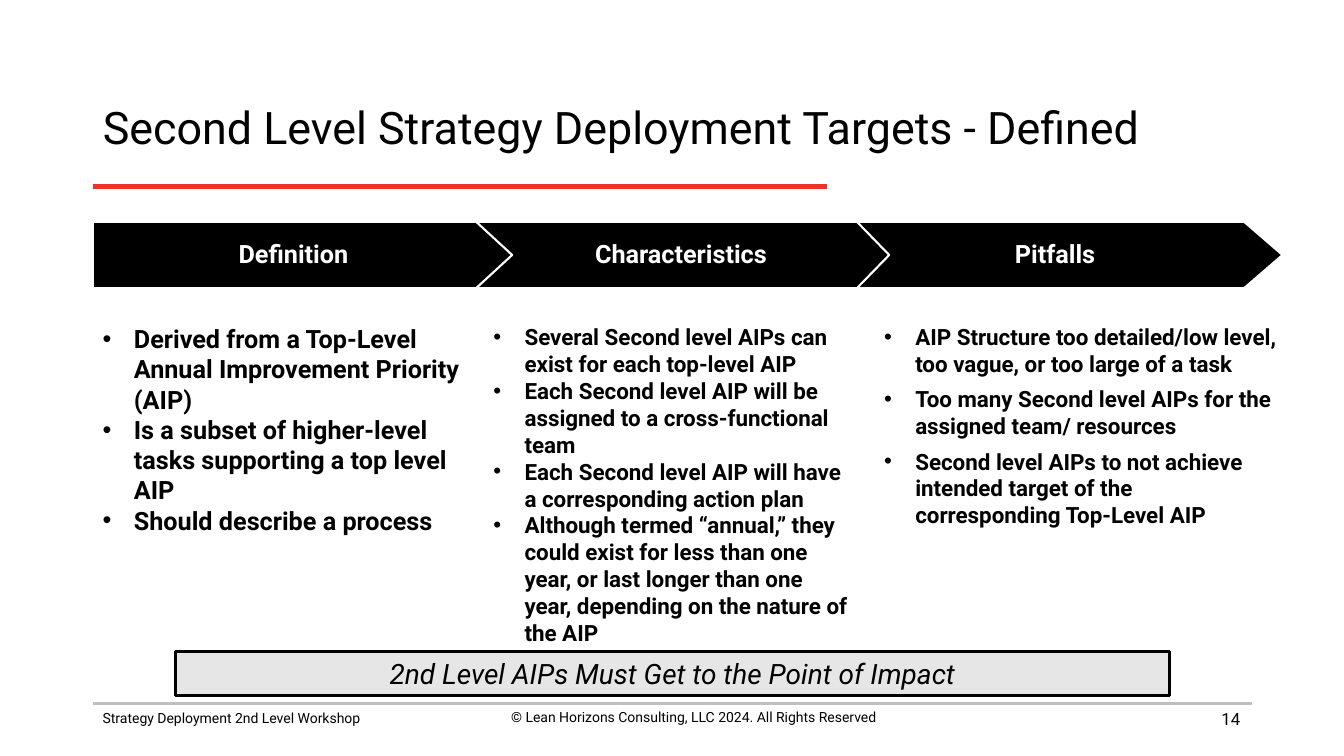
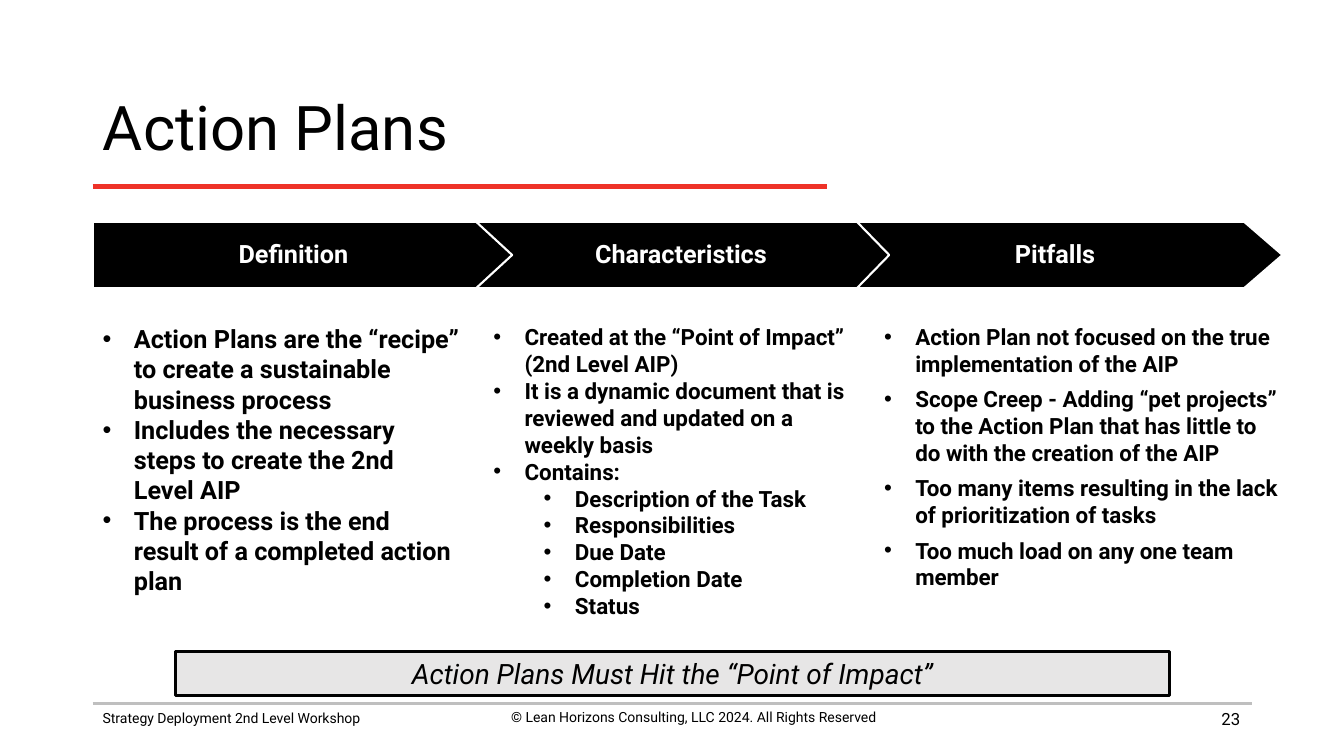
from dataclasses import dataclass

from lxml.etree import SubElement
from pptx import Presentation
from pptx.dml.color import RGBColor
from pptx.enum.shapes import MSO_CONNECTOR, MSO_SHAPE
from pptx.enum.text import MSO_ANCHOR, MSO_AUTO_SIZE, PP_ALIGN
from pptx.oxml.ns import qn
from pptx.util import Inches, Pt


@dataclass(frozen=True)
class Theme:
    font: str = "Roboto"
    ink: RGBColor = RGBColor(0x00, 0x00, 0x00)
    paper: RGBColor = RGBColor(0xFF, 0xFF, 0xFF)
    accent: RGBColor = RGBColor(0xEE, 0x32, 0x28)
    rule: RGBColor = RGBColor(0xBF, 0xBF, 0xBF)
    banner: RGBColor = RGBColor(0xE7, 0xE6, 0xE6)
    footer_size: int = 10
    number_size: int = 12
    heading_size: int = 18
    banner_size: int = 20
    column_sizes: tuple = (18, 16, 16)
    column_spacing: tuple = (0, 0, 6)


@dataclass(frozen=True)
class Box:
    """A region in inches."""
    left: float
    top: float
    width: float
    height: float

    @property
    def right(self):
        return self.left + self.width

    def emu(self):
        return [Inches(v) for v in (self.left, self.top, self.width, self.height)]

    def column(self, index, count, step, width):
        """One of several equally stepped columns; the last runs to the right edge."""
        left = self.left + index * step
        last = index == count - 1
        return Box(left, self.top, self.right - left if last else width, self.height)


THEME = Theme()
LEFT = 0.92
TITLE = Box(LEFT, 0.74, 11.5, 1.1)
HEADINGS = Box(LEFT, 2.2, 11.8, 0.66)
COLUMNS = Box(LEFT, 3.16, 11.91, 3.13)
BANNER = Box(1.74, 6.46, 9.86, 0.44)
FOOTER = Box(LEFT, 6.98, 11.5, 0.44)

# Heading, point depth as a share of the height, and left indent of the text
ARROWS = [("Definition", 0.542, 0), ("Characteristics", 0.486, 0.19), ("Pitfalls", 0.578, 0)]
WORKSHOP = "Strategy Deployment 2nd Level Workshop"
COPYRIGHT = "© Lean Horizons Consulting, LLC 2024. All Rights Reserved"


def add_run(paragraph, text, size, color=THEME.ink, bold=False, italic=False):
    run = paragraph.add_run()
    run.text = text
    font = run.font
    font.name, font.size, font.color.rgb = THEME.font, Pt(size), color
    font.bold, font.italic = bold, italic


def add_rule(slide, left, right, y, color, width):
    rule = slide.shapes.add_connector(
        MSO_CONNECTOR.STRAIGHT, Inches(left), Inches(y), Inches(right), Inches(y))
    rule.line.color.rgb, rule.line.width = color, Pt(width)
    SubElement(rule._element.spPr, qn("a:effectLst"))


def add_panel(shapes, kind, box, fill, line, line_width):
    panel = shapes.add_shape(kind, *box.emu())
    panel.shadow.inherit = False
    panel.fill.solid()
    panel.fill.fore_color.rgb = fill
    panel.line.color.rgb, panel.line.width = line, Pt(line_width)
    panel.text_frame.word_wrap = True
    return panel


def add_text_frame(slide, box):
    frame = slide.shapes.add_textbox(*box.emu()).text_frame
    frame.word_wrap = True
    return frame


def indent(paragraph, left, hanging=0):
    properties = paragraph._p.get_or_add_pPr()
    properties.set("marL", str(Inches(left)))
    properties.set("indent", str(-Inches(hanging)))
    return properties


def add_title(slide, box, text, size):
    title = slide.shapes.title
    title.left, title.top, title.width, title.height = box.emu()
    frame = title.text_frame
    frame.word_wrap, frame.auto_size = True, MSO_AUTO_SIZE.NONE
    frame.vertical_anchor = MSO_ANCHOR.MIDDLE
    paragraph = frame.paragraphs[0]
    paragraph.alignment, paragraph.line_spacing = PP_ALIGN.LEFT, 0.9
    add_run(paragraph, text, size)
    # Accent rule under the title
    add_rule(slide, box.left, 8.2, box.top + 1.11, THEME.accent, 3)


def add_footer(slide, box, number):
    add_rule(slide, box.left, box.right, box.top, THEME.rule, 2)
    third = 4.56
    parts = [
        (Box(box.left, box.top + 0.01, third, 0.27), WORKSHOP, PP_ALIGN.LEFT, THEME.footer_size),
        (Box(4.6, box.top, third, box.height), COPYRIGHT, PP_ALIGN.CENTER, THEME.footer_size),
        (Box(9.4, box.top - 0.05, 3, 0.4), str(number), PP_ALIGN.RIGHT, THEME.number_size),
    ]
    for place, text, alignment, size in parts:
        frame = add_text_frame(slide, place)
        if alignment == PP_ALIGN.RIGHT:
            frame.vertical_anchor = MSO_ANCHOR.MIDDLE
        frame.paragraphs[0].alignment = alignment
        add_run(frame.paragraphs[0], text, size)


def add_headings(slide, box):
    group = slide.shapes.add_group_shape()
    # Right to left, so that each point overlaps the next arrow
    for index, (heading, depth, left_indent) in reversed(list(enumerate(ARROWS))):
        place = box.column(index, len(ARROWS), 3.74, 4.16)
        arrow = add_panel(group.shapes, MSO_SHAPE.PENTAGON, place, THEME.ink, THEME.paper, 1.5)
        arrow.adjustments[0] = depth
        frame = arrow.text_frame
        frame.vertical_anchor = MSO_ANCHOR.MIDDLE
        frame.margin_left = frame.margin_right = Inches(0.05)
        frame.margin_top = frame.margin_bottom = Inches(0.05)
        paragraph = frame.paragraphs[0]
        paragraph.alignment, paragraph.line_spacing = PP_ALIGN.CENTER, 0.95
        indent(paragraph, left_indent)
        add_run(paragraph, heading, THEME.heading_size, THEME.paper, bold=True)


def add_bullets(slide, box, items, size, spacing):
    """Each item is a text, or a (text, level) pair."""
    frame = add_text_frame(slide, box)
    for index, item in enumerate(items):
        text, level = item if isinstance(item, tuple) else (item, 0)
        paragraph = frame.add_paragraph() if index else frame.paragraphs[0]
        paragraph.level = level
        properties = indent(paragraph, 0.31 + 0.5 * level, 0.31)
        if index:
            paragraph.space_before = Pt(spacing)
        SubElement(properties, qn("a:buFont"), typeface="Arial")
        SubElement(properties, qn("a:buChar"), char="•")
        add_run(paragraph, text, size, bold=True)


def add_columns(slide, box, columns):
    styles = zip(columns, THEME.column_sizes, THEME.column_spacing)
    for index, (items, size, spacing) in enumerate(styles):
        place = box.column(index, len(columns), 3.875, 3.74)
        add_bullets(slide, place, items, size, spacing)


def add_banner(slide, box, text):
    banner = add_panel(slide.shapes, MSO_SHAPE.RECTANGLE, box, THEME.banner, THEME.ink, 2)
    banner.text_frame.vertical_anchor = MSO_ANCHOR.BOTTOM
    paragraph = banner.text_frame.paragraphs[0]
    paragraph.alignment = PP_ALIGN.CENTER
    add_run(paragraph, text, THEME.banner_size, italic=True)


def add_overview_slide(deck, number, title, title_size, columns, message):
    slide = deck.slides.add_slide(deck.slide_layouts.get_by_name("Title Only"))
    add_footer(slide, FOOTER, number)
    add_title(slide, TITLE, title, title_size)
    add_headings(slide, HEADINGS)
    add_columns(slide, COLUMNS, columns)
    add_banner(slide, BANNER, message)


TARGET_COLUMNS = [
    ["Derived from a Top-Level Annual Improvement Priority (AIP)",
     "Is a subset of higher-level tasks supporting a top level AIP",
     "Should describe a process"],
    ["Several Second level AIPs can exist for each top-level AIP",
     "Each Second level AIP will be assigned to a cross-functional team",
     "Each Second level AIP will have a corresponding action plan",
     "Although termed “annual,” they could exist for less than one year, "
     "or last longer than one year, depending on the nature of the AIP"],
    ["AIP Structure too detailed/low level, too vague, or too large of a task",
     "Too many Second level AIPs for the assigned team/ resources",
     "Second level AIPs to not achieve intended target of the corresponding Top-Level AIP"],
]

ACTION_PLAN_COLUMNS = [
    ["Action Plans are the “recipe” to create a sustainable business process",
     "Includes the necessary steps to create the 2nd Level AIP",
     "The process is the end result of a completed action plan"],
    ["Created at the “Point of Impact” (2nd Level AIP)",
     "It is a dynamic document that is reviewed and updated on a weekly basis",
     "Contains:",
     ("Description of the Task", 1),
     ("Responsibilities", 1),
     ("Due Date", 1),
     ("Completion Date", 1),
     ("Status", 1)],
    ["Action Plan not focused on the true implementation of the AIP",
     "Scope Creep - Adding “pet projects” to the Action Plan that has little to do "
     "with the creation of the AIP",
     "Too many items resulting in the lack of prioritization of tasks",
     "Too much load on any one team member"],
]


def main():
    deck = Presentation()
    deck.slide_width, deck.slide_height = Inches(13.33), Inches(7.5)
    add_overview_slide(deck, 14, "Second Level Strategy Deployment Targets - Defined", 32,
                       TARGET_COLUMNS, "2nd Level AIPs Must Get to the Point of Impact")
    add_overview_slide(deck, 23, "Action Plans", 44,
                       ACTION_PLAN_COLUMNS, "Action Plans Must Hit the “Point of Impact”")
    deck.save("out.pptx")


if __name__ == "__main__":
    main()
